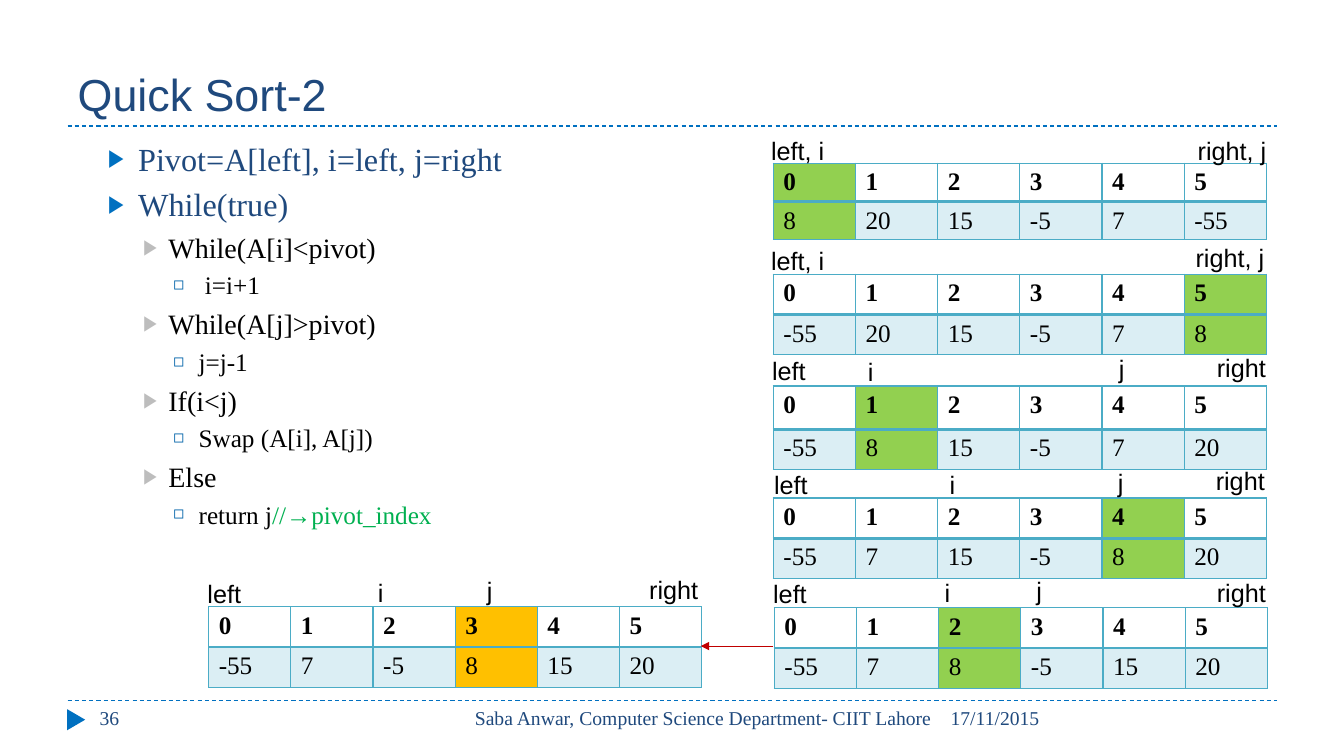
from dataclasses import dataclass

from lxml import etree
from pptx import Presentation
from pptx.dml.color import RGBColor
from pptx.enum.dml import MSO_LINE
from pptx.enum.shapes import MSO_CONNECTOR, MSO_SHAPE
from pptx.enum.text import MSO_ANCHOR, MSO_AUTO_SIZE, PP_ALIGN
from pptx.oxml.ns import qn
from pptx.util import Inches, Pt

STRAIGHT = MSO_CONNECTOR.STRAIGHT
TRIANGLE = MSO_SHAPE.ISOSCELES_TRIANGLE
DASH = MSO_LINE.DASH
LEFT, RIGHT = PP_ALIGN.LEFT, PP_ALIGN.RIGHT
TOP, BOTTOM = MSO_ANCHOR.TOP, MSO_ANCHOR.BOTTOM
FIT, NO_FIT = MSO_AUTO_SIZE.SHAPE_TO_FIT_TEXT, MSO_AUTO_SIZE.NONE


@dataclass(frozen=True)
class Theme:
    sans: str = "Arial"
    serif: str = "Times New Roman"
    navy: str = "1F497D"
    blue: str = "0070C0"
    black: str = "000000"
    comment: str = "00B050"
    grid: str = "4BACC6"
    band: str = "DBEEF4"
    pivot: str = "92D050"
    final: str = "FFC000"
    arrow: str = "C00000"
    title_size: int = 32
    label_size: int = 18
    footer_size: int = 14


T = Theme()

# text size, colour, indent, hanging, space before, bullet, bullet colour, bullet %
LEVELS = [
    (23, T.navy, 0.6, 0.3, 5, "▶", T.blue, 76),
    (20, T.black, 0.9, 0.25, 5, "▶", "BDBDBD", 76),
    (18, T.black, 1.2, 0.25, 4, "◻", "0063A9", 70),
]
STEPS = [
    (0, "Pivot=A[left], i=left, j=right", ""),
    (0, "While(true)", ""),
    (1, "While(A[i]<pivot)", ""),
    (2, " i=i+1", ""),
    (1, "While(A[j]>pivot)", ""),
    (2, "j=j-1", ""),
    (1, "If(i<j)", ""),
    (2, "Swap (A[i], A[j])", ""),
    (1, "Else", ""),
    (2, "return j", "//→pivot_index"),
]

LABEL_WIDTHS = {"left, i": 0.73, "right, j": 0.89, "left": 0.54, "right": 0.69, "i": 0.26, "j": 0.26}
TABLE_WIDTH = 4.89
# left, top, row heights, values, pivot index, pivot colour, labels offset from the table corner
STAGES = [
    (7.67, 1.62, (0.38, 0.38), (8, 20, 15, -5, 7, -55), 0, T.pivot,
     [("left, i", -0.12, -0.33), ("right, j", 4.11, -0.33)]),
    (7.67, 2.72, (0.4, 0.4), (-55, 20, 15, -5, 7, 8), 5, T.pivot,
     [("left, i", -0.12, -0.34), ("right, j", 4.09, -0.36)]),
    (7.67, 3.83, (0.43, 0.4), (-55, 8, 15, -5, 7, 20), 1, T.pivot,
     [("left", -0.11, -0.35), ("i", 0.84, -0.34), ("j", 3.33, -0.37), ("right", 4.3, -0.38)]),
    (7.67, 4.94, (0.4, 0.4), (-55, 7, 15, -5, 8, 20), 4, T.pivot,
     [("left", -0.09, -0.33), ("i", 1.65, -0.33), ("j", 3.32, -0.35), ("right", 4.29, -0.37)]),
    (7.68, 6.03, (0.4, 0.4), (-55, 7, 8, -5, 15, 20), 2, T.pivot,
     [("left", -0.11, -0.34), ("i", 1.59, -0.35), ("j", 2.5, -0.37), ("right", 4.29, -0.35)]),
    (2.07, 6.02, (0.4, 0.4), (-55, 7, -5, 8, 15, 20), 3, T.final,
     [("left", -0.11, -0.33), ("i", 1.58, -0.34), ("j", 2.66, -0.36), ("right", 4.27, -0.37)]),
]


def rgb(color):
    return RGBColor.from_string(color)


def place(sp, box):
    sp.left, sp.top, sp.width, sp.height = (Inches(v) for v in box)


def add_run(p, text, size, font=T.serif, color=T.black, bold=False):
    r = p.add_run()
    r.text = text
    r.font.size, r.font.name, r.font.bold = Pt(size), font, bold
    r.font.color.rgb = rgb(color)


def add_text(slide, box, text, align=LEFT, wrap=True, **fmt):
    sp = slide.shapes.add_textbox(*(Inches(v) for v in box))
    tf = sp.text_frame
    tf.word_wrap = wrap
    tf.auto_size = NO_FIT if wrap else FIT
    p = tf.paragraphs[0]
    p.alignment = align
    add_run(p, text, **fmt)


def add_line(slide, start, end, color):
    line = slide.shapes.add_connector(STRAIGHT, *(Inches(v) for v in (*start, *end)))
    line.line.color.rgb = rgb(color)
    line.line.width = Pt(0.75)
    etree.SubElement(line._element.spPr, qn("a:effectLst"))
    return line


def set_bullet(p, char, color, percent):
    pPr = p._p.get_or_add_pPr()
    clr = etree.SubElement(pPr, qn("a:buClr"))
    etree.SubElement(clr, qn("a:srgbClr"), val=color)
    etree.SubElement(pPr, qn("a:buSzPct"), val=str(percent * 1000))
    etree.SubElement(pPr, qn("a:buFont"), typeface=T.sans)
    etree.SubElement(pPr, qn("a:buChar"), char=char)


def set_border(cell, side, width):
    ln = etree.SubElement(cell._tc.get_or_add_tcPr(), qn(f"a:ln{side}"), w=str(Pt(width)))
    fill = etree.SubElement(ln, qn("a:solidFill"))
    etree.SubElement(fill, qn("a:srgbClr"), val=T.grid)


def add_title(slide, box):
    title = slide.shapes.title
    place(title, box)
    tf = title.text_frame
    tf.vertical_anchor, tf.auto_size = BOTTOM, NO_FIT
    p = tf.paragraphs[0]
    p.alignment = LEFT
    add_run(p, "Quick Sort-2", T.title_size, T.sans, T.navy)


def add_steps(slide, box):
    body = slide.placeholders[1]
    place(body, box)
    tf = body.text_frame
    tf.vertical_anchor, tf.auto_size = TOP, NO_FIT
    for i, (level, text, comment) in enumerate(STEPS):
        size, color, indent, hang, before, char, char_color, percent = LEVELS[level]
        p = tf.add_paragraph() if i else tf.paragraphs[0]
        p.level = level
        p.space_before = Pt(before if i else 0)
        pPr = p._p.get_or_add_pPr()
        pPr.set("marL", str(Inches(indent)))
        pPr.set("indent", str(-Inches(hang)))
        set_bullet(p, char, char_color, percent)
        add_run(p, text, size, color=color)
        if comment:
            add_run(p, comment, size, color=T.comment)


def add_stage(slide, left, top, heights, values, pivot, pivot_color, labels):
    """Array table with indexes above values, and pointer labels over it."""
    box = (left, top, TABLE_WIDTH, sum(heights))
    table = slide.shapes.add_table(2, len(values), *(Inches(v) for v in box)).table
    table.first_row = table.horz_banding = False
    for row, height in zip(table.rows, heights):
        row.height = Inches(height)
    for r, numbers in enumerate((range(len(values)), values)):
        for c, number in enumerate(numbers):
            cell = table.cell(r, c)
            add_run(cell.text_frame.paragraphs[0], str(number), T.label_size, bold=r == 0)
            for side in "LRTB":
                set_border(cell, side, 2 if r == 0 and side == "B" else 1)
            if c == pivot or r == 1:
                cell.fill.solid()
                cell.fill.fore_color.rgb = rgb(pivot_color if c == pivot else T.band)
            else:
                cell.fill.background()
    for text, dx, dy in labels:
        add_text(slide, (left + dx, top + dy, LABEL_WIDTHS[text], 0.4), text,
                 wrap=False, size=T.label_size, font=T.sans)


def add_footer(slide, left, top):
    fmt = dict(size=T.footer_size, color=T.navy)
    marker = slide.shapes.add_shape(
        TRIANGLE, *(Inches(v) for v in (left - 0.02, top + 0.1, 0.21, 0.18)))
    marker.rotation = 90
    marker.shadow.inherit = False
    marker.fill.solid()
    marker.fill.fore_color.rgb = rgb(T.blue)
    marker.line.fill.background()
    add_text(slide, (left + 0.22, top, 2.89, 0.4), "36", **fmt)
    add_text(slide, (left + 3.56, top, 5.11, 0.4),
             "Saba Anwar, Computer Science Department- CIIT Lahore", align=RIGHT, **fmt)
    add_text(slide, (left + 8.66, top, 3.34, 0.4), "17/11/2015", **fmt)


def main():
    prs = Presentation()
    prs.slide_width, prs.slide_height = Inches(13.33), Inches(7.5)
    slide = prs.slides.add_slide(prs.slide_layouts[1])
    for y in (1.25, 6.95):
        add_line(slide, (0.67, y), (12.67, y), T.blue).line.dash_style = DASH
    add_title(slide, (0.67, 0.17, 12, 1.08))
    add_steps(slide, (0.67, 1.33, 12, 5.4))
    for stage in STAGES:
        add_stage(slide, *stage)
    arrow = add_line(slide, (7.67, 6.41), (6.95, 6.41), T.arrow)
    etree.SubElement(arrow.line._get_or_add_ln(), qn("a:tailEnd"), type="triangle")
    add_footer(slide, 0.67, 6.95)
    prs.save("out.pptx")


if __name__ == "__main__":
    main()
